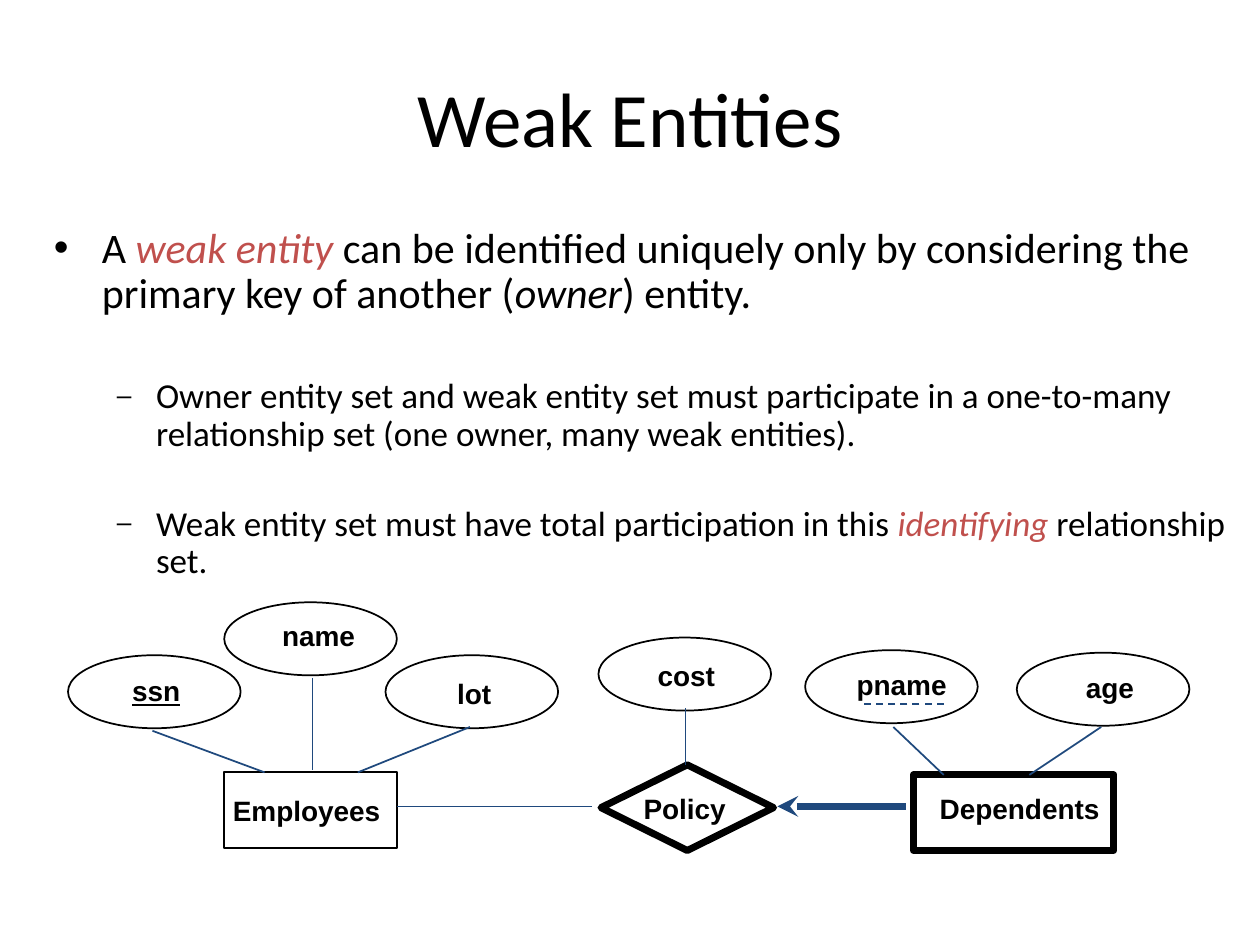
from dataclasses import dataclass
from typing import Optional

from lxml.etree import SubElement
from pptx import Presentation
from pptx.dml.color import RGBColor
from pptx.enum.dml import MSO_LINE
from pptx.enum.shapes import MSO_CONNECTOR, MSO_SHAPE
from pptx.enum.text import MSO_ANCHOR, MSO_AUTO_SIZE, PP_ALIGN
from pptx.oxml.ns import qn
from pptx.util import Inches, Pt


@dataclass(frozen=True)
class Theme:
    black: RGBColor = RGBColor(0x00, 0x00, 0x00)
    accent: RGBColor = RGBColor(0xC0, 0x50, 0x4D)
    link: RGBColor = RGBColor(0x1F, 0x49, 0x7D)
    text_font: str = "Calibri"
    label_font: str = "Arial"
    title_size: int = 44
    label_size: int = 16
    thin: int = 1
    thick: int = 4


@dataclass(frozen=True)
class Phrase:
    text: str
    italic: bool = False
    accent: bool = False


@dataclass(frozen=True)
class Bullet:
    phrases: tuple[Phrase, ...]
    level: int = 0
    gap: float = 0  # points before the paragraph


@dataclass(frozen=True)
class BulletStyle:
    mark: str
    mark_percent: int
    margin: float
    hanging: float
    size: int


@dataclass(frozen=True)
class Node:
    label: str
    left: float
    top: float
    width: float
    height: float
    label_box: tuple[float, float, float]  # left, top, width
    kind: MSO_SHAPE = MSO_SHAPE.OVAL
    weight: int = Theme.thin
    underline: bool = False


@dataclass(frozen=True)
class Link:
    start: tuple[float, float]
    end: tuple[float, float]
    weight: int = Theme.thin
    dash: Optional[MSO_LINE] = None
    arrow: bool = False


THEME = Theme()
LABEL_HEIGHT = 0.36
OVAL = (1.37, 0.58)

BULLET_STYLES = (
    BulletStyle("•", 100, 0.38, 0.38, 24),
    BulletStyle("–", 75, 0.81, 0.31, 20),
)

BULLETS = (
    Bullet((
        Phrase("A "),
        Phrase("weak entity ", italic=True, accent=True),
        Phrase("can be identified uniquely only by considering the primary key of another ("),
        Phrase("owner", italic=True),
        Phrase(") entity."),
    )),
    Bullet((
        Phrase("Owner entity set and weak entity set must participate in a "
               "one-to-many relationship set (one owner, many weak entities)."),
    ), level=1, gap=35),
    Bullet((
        Phrase("Weak entity set must have total participation in this "),
        Phrase("identifying ", italic=True, accent=True),
        Phrase("relationship set."),
    ), level=1, gap=29.5),
)

NODES = (
    # Attributes
    Node("ssn", 0.54, 5.2, *OVAL, (0.95, 5.3, 0.6), underline=True),
    Node("name", 1.78, 4.78, *OVAL, (2.14, 4.86, 0.8)),
    Node("lot", 3.06, 5.2, *OVAL, (3.53, 5.32, 0.49)),
    Node("cost", 4.75, 5.06, *OVAL, (5.12, 5.18, 0.69)),
    Node("pname", 6.39, 5.16, *OVAL, (6.7, 5.25, 0.95)),
    Node("age", 8.07, 5.18, *OVAL, (8.52, 5.27, 0.6)),
    # Entities and their relationship
    Node("Employees", 1.78, 6.13, 1.37, 0.6, (1.75, 6.25, 1.4), MSO_SHAPE.RECTANGLE),
    Node("Policy", 4.77, 6.07, 1.37, 0.68, (5.01, 6.23, 0.87), MSO_SHAPE.DIAMOND, THEME.thick),
    Node("Dependents", 7.25, 6.15, 1.59, 0.6, (7.36, 6.23, 1.49), MSO_SHAPE.RECTANGLE, THEME.thick),
)

LINKS = (
    Link((7.49, 5.59), (6.82, 5.59), dash=MSO_LINE.DASH),  # partial key of pname
    Link((2.48, 5.38), (2.48, 6.11)),
    Link((1.21, 5.8), (2.1, 6.13)),
    Link((3.73, 5.77), (2.84, 6.13)),
    Link((5.44, 6.07), (5.44, 5.62)),
    Link((7.09, 5.77), (7.49, 6.15)),
    Link((8.74, 5.77), (8.17, 6.15)),
    Link((4.7, 6.4), (3.15, 6.4)),
    Link((6.17, 6.4), (7.19, 6.4), THEME.thick, arrow=True),
)


def add_title(slide, text: str) -> None:
    title = slide.shapes.title
    title.left, title.top = Inches(0.5), Inches(0.3)
    title.width, title.height = Inches(9), Inches(1.25)
    title.text_frame.text = text
    title.text_frame.vertical_anchor = MSO_ANCHOR.MIDDLE
    paragraph = title.text_frame.paragraphs[0]
    paragraph.alignment = PP_ALIGN.CENTER
    font = paragraph.font
    font.size, font.name = Pt(THEME.title_size), THEME.text_font
    font.color.rgb = THEME.black


def add_bullet(paragraph, bullet: Bullet) -> None:
    style = BULLET_STYLES[bullet.level]
    paragraph.level = bullet.level
    paragraph.line_spacing = 0.9
    paragraph.space_before = Pt(bullet.gap)
    properties = paragraph._p.get_or_add_pPr()
    properties.set("marL", str(Inches(style.margin)))
    properties.set("indent", str(-Inches(style.hanging)))
    SubElement(properties, qn("a:buSzPct"), val=str(style.mark_percent * 1000))
    SubElement(properties, qn("a:buFont"), typeface=THEME.label_font)
    SubElement(properties, qn("a:buChar"), char=style.mark)
    paragraph.font.size = Pt(style.size)
    paragraph.font.name = THEME.text_font
    for phrase in bullet.phrases:
        run = paragraph.add_run()
        run.text = phrase.text
        run.font.italic = phrase.italic
        run.font.color.rgb = THEME.accent if phrase.accent else THEME.black


def add_body(slide, bullets: tuple[Bullet, ...]) -> None:
    box = slide.shapes.add_textbox(Inches(0.33), Inches(1.75), Inches(9.58), Inches(3.08))
    frame = box.text_frame
    frame.word_wrap = True
    for index, bullet in enumerate(bullets):
        add_bullet(frame.add_paragraph() if index else frame.paragraphs[0], bullet)


def add_node(slide, node: Node) -> None:
    shape = slide.shapes.add_shape(
        node.kind, *map(Inches, (node.left, node.top, node.width, node.height)))
    shape.shadow.inherit = False
    shape.fill.background()
    shape.line.color.rgb = THEME.black
    shape.line.width = Pt(node.weight)
    # Label
    box = slide.shapes.add_textbox(*map(Inches, (*node.label_box, LABEL_HEIGHT)))
    frame = box.text_frame
    frame.word_wrap = False
    frame.auto_size = MSO_AUTO_SIZE.SHAPE_TO_FIT_TEXT
    frame.text = node.label
    font = frame.paragraphs[0].font
    font.size, font.name, font.bold = Pt(THEME.label_size), THEME.label_font, True
    font.underline = node.underline
    font.color.rgb = THEME.black


def add_link(slide, link: Link) -> None:
    connector = slide.shapes.add_connector(
        MSO_CONNECTOR.STRAIGHT, *map(Inches, (*link.start, *link.end)))
    SubElement(connector._element.spPr, qn("a:effectLst"))
    line = connector.line
    line.color.rgb, line.width = THEME.link, Pt(link.weight)
    if link.dash:
        line.dash_style = link.dash
    if link.arrow:
        SubElement(line._get_or_add_ln(), qn("a:headEnd"), type="stealth")


def main() -> None:
    presentation = Presentation()
    presentation.slide_width, presentation.slide_height = Inches(10), Inches(7.5)
    slide = presentation.slides.add_slide(presentation.slide_layouts[5])
    add_title(slide, "Weak Entities")
    add_body(slide, BULLETS)
    for node in NODES:
        add_node(slide, node)
    for link in LINKS:
        add_link(slide, link)
    presentation.save("out.pptx")


if __name__ == "__main__":
    main()
